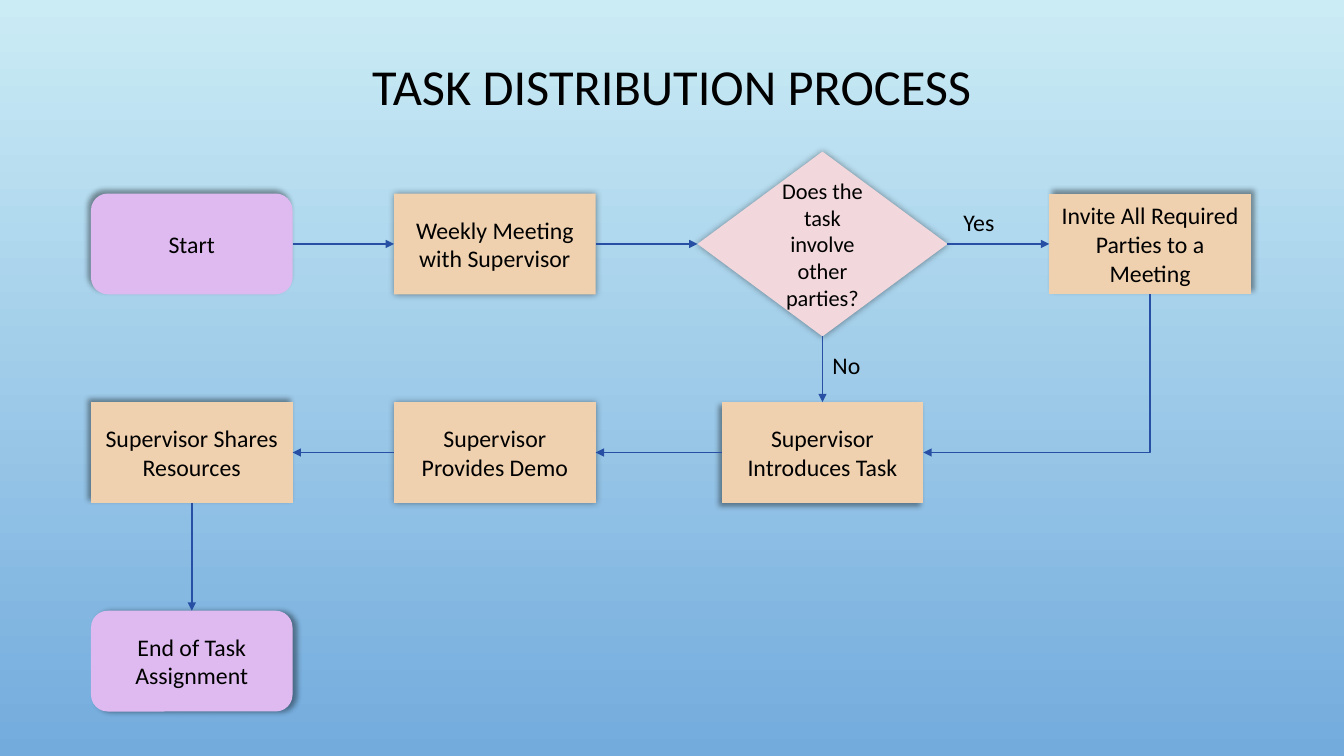
from lxml import etree
from pptx import Presentation
from pptx.dml.color import RGBColor
from pptx.enum.shapes import MSO_CONNECTOR, MSO_SHAPE
from pptx.enum.text import MSO_ANCHOR, PP_ALIGN
from pptx.oxml.ns import qn
from pptx.util import Pt

TERMINAL = MSO_SHAPE.FLOWCHART_ALTERNATE_PROCESS
PROCESS = MSO_SHAPE.FLOWCHART_PROCESS
RECTANGLE = MSO_SHAPE.RECTANGLE
DECISION = MSO_SHAPE.FLOWCHART_DECISION
STRAIGHT, ELBOW = MSO_CONNECTOR.STRAIGHT, MSO_CONNECTOR.ELBOW
MIDDLE, ANCHOR_TOP = MSO_ANCHOR.MIDDLE, MSO_ANCHOR.TOP
CENTER, ALIGN_LEFT = PP_ALIGN.CENTER, PP_ALIGN.LEFT
TOP, LEFT, BOTTOM, RIGHT = range(4)

BLACK = RGBColor(0x00, 0x00, 0x00)
SKY = RGBColor(0xCB, 0xEC, 0xF5)
BLUE = RGBColor(0x73, 0xAB, 0xDD)
LILAC = RGBColor(0xDF, 0xBA, 0xF0)
SAND = RGBColor(0xEF, 0xD1, 0xAF)
PINK = RGBColor(0xF2, 0xD8, 0xDC)
NAVY = RGBColor(0x27, 0x4F, 0xA4)

BOX_WIDTH, BOX_HEIGHT = 144, 72
COLUMNS = [65, 281.5, 515.5, 749.5]
ROWS = [138.25, 287.25, 436.25]
DECISION_WIDTH, DECISION_HEIGHT = 178.5, 132


def write(shape, text, size, alignment, anchor):
    frame = shape.text_frame
    frame.word_wrap = True
    frame.vertical_anchor = anchor
    for index, line in enumerate(text.split("\n")):
        paragraph = frame.add_paragraph() if index else frame.paragraphs[0]
        paragraph.alignment = alignment
        run = paragraph.add_run()
        run.text = line
        run.font.name = "Calibri"
        run.font.size = Pt(size)
        run.font.color.rgb = BLACK


def add_shadow(shape, blur, distance, angle):
    shape.shadow.inherit = False
    effects = shape._element.spPr.find(qn("a:effectLst"))
    shadow = etree.SubElement(effects, qn("a:outerShdw"), blurRad=str(Pt(blur)),
                              dist=str(Pt(distance)), dir=str(angle * 60000),
                              algn="ctr", rotWithShape="0")
    color = etree.SubElement(shadow, qn("a:srgbClr"), val=str(BLACK))
    etree.SubElement(color, qn("a:alpha"), val="40000")


presentation = Presentation()
presentation.slide_width = Pt(960)
presentation.slide_height = Pt(540)
slide = presentation.slides.add_slide(presentation.slide_layouts[6])

background = slide.background.fill
background.gradient()
background.gradient_angle = 270
for stop, color, position in zip(background.gradient_stops, (SKY, BLUE), (0, 1)):
    stop.color.rgb = color
    stop.position = position

title = slide.shapes.add_textbox(Pt(66), Pt(39.5), Pt(828), Pt(49))
write(title, "TASK DISTRIBUTION PROCESS", 36, CENTER, MIDDLE)
title.text_frame.paragraphs[0].line_spacing = 0.9

steps = [
    ("start", TERMINAL, 0, 0, LILAC, "Start", (4, 3, 225)),
    ("demo", PROCESS, 1, 1, SAND, "Supervisor Provides Demo", (5, 0, 0)),
    ("meeting", RECTANGLE, 1, 0, SAND, "Weekly Meeting\nwith Supervisor", (5, 0, 0)),
    ("introduce", PROCESS, 2, 1, SAND, "Supervisor Introduces Task", (4, 3, 135)),
    ("decision", DECISION, 2, 0, PINK, "Does the task involve other parties?", (5, 0, 0)),
    ("invite", PROCESS, 3, 0, SAND, "Invite All Required Parties to a Meeting", (4, 3, 315)),
    ("resources", PROCESS, 0, 1, SAND, "Supervisor Shares Resources", (4, 3, 225)),
    ("end", TERMINAL, 0, 2, LILAC, "End of Task Assignment", (4, 3, 0)),
]
boxes = {}
for name, kind, column, row, color, text, shadow in steps:
    is_decision = kind == DECISION
    width = DECISION_WIDTH if is_decision else BOX_WIDTH
    height = DECISION_HEIGHT if is_decision else BOX_HEIGHT
    left = COLUMNS[column] + (BOX_WIDTH - width) / 2
    top = ROWS[row] + (BOX_HEIGHT - height) / 2
    shape = slide.shapes.add_shape(kind, Pt(left), Pt(top), Pt(width), Pt(height))
    shape.fill.solid()
    shape.fill.fore_color.rgb = color
    shape.line.fill.background()
    add_shadow(shape, *shadow)
    write(shape, text, 16 if is_decision else 17, CENTER, MIDDLE)
    boxes[name] = shape

arrows = [
    ("start", RIGHT, "meeting", LEFT),
    ("meeting", RIGHT, "decision", LEFT),
    ("decision", RIGHT, "invite", LEFT),
    ("decision", BOTTOM, "introduce", TOP),
    ("invite", BOTTOM, "introduce", RIGHT),
    ("introduce", LEFT, "demo", RIGHT),
    ("demo", LEFT, "resources", RIGHT),
    ("resources", BOTTOM, "end", TOP),
]
for source, source_site, target, target_site in arrows:
    turns = (source_site, target_site) == (BOTTOM, RIGHT)
    connector = slide.shapes.add_connector(ELBOW if turns else STRAIGHT, 0, 0, 0, 0)
    connector.begin_connect(boxes[source], source_site)
    connector.end_connect(boxes[target], target_site)
    connector.line.color.rgb = NAVY
    connector.line.width = Pt(1.25)
    properties = connector._element.spPr
    etree.SubElement(connector.line._get_or_add_ln(), qn("a:tailEnd"), type="triangle")
    etree.SubElement(properties, qn("a:effectLst"))
    if turns:
        across, down = connector.width, connector.height
        connector.left += (across - down) // 2
        connector.top += (down - across) // 2
        connector.width, connector.height = down, across
        transform = properties.find(qn("a:xfrm"))
        transform.attrib.pop("flipH", None)
        transform.set("rot", str(90 * 60000))
        properties.find(qn("a:prstGeom")).set("prst", "bentConnector2")

for text, left, top, width in [("Yes", 681, 144.75, 45.5), ("No", 587.5, 247, 40.5)]:
    label = slide.shapes.add_textbox(Pt(left), Pt(top), Pt(width), Pt(28))
    write(label, text, 17, ALIGN_LEFT, ANCHOR_TOP)

presentation.save("out.pptx")
